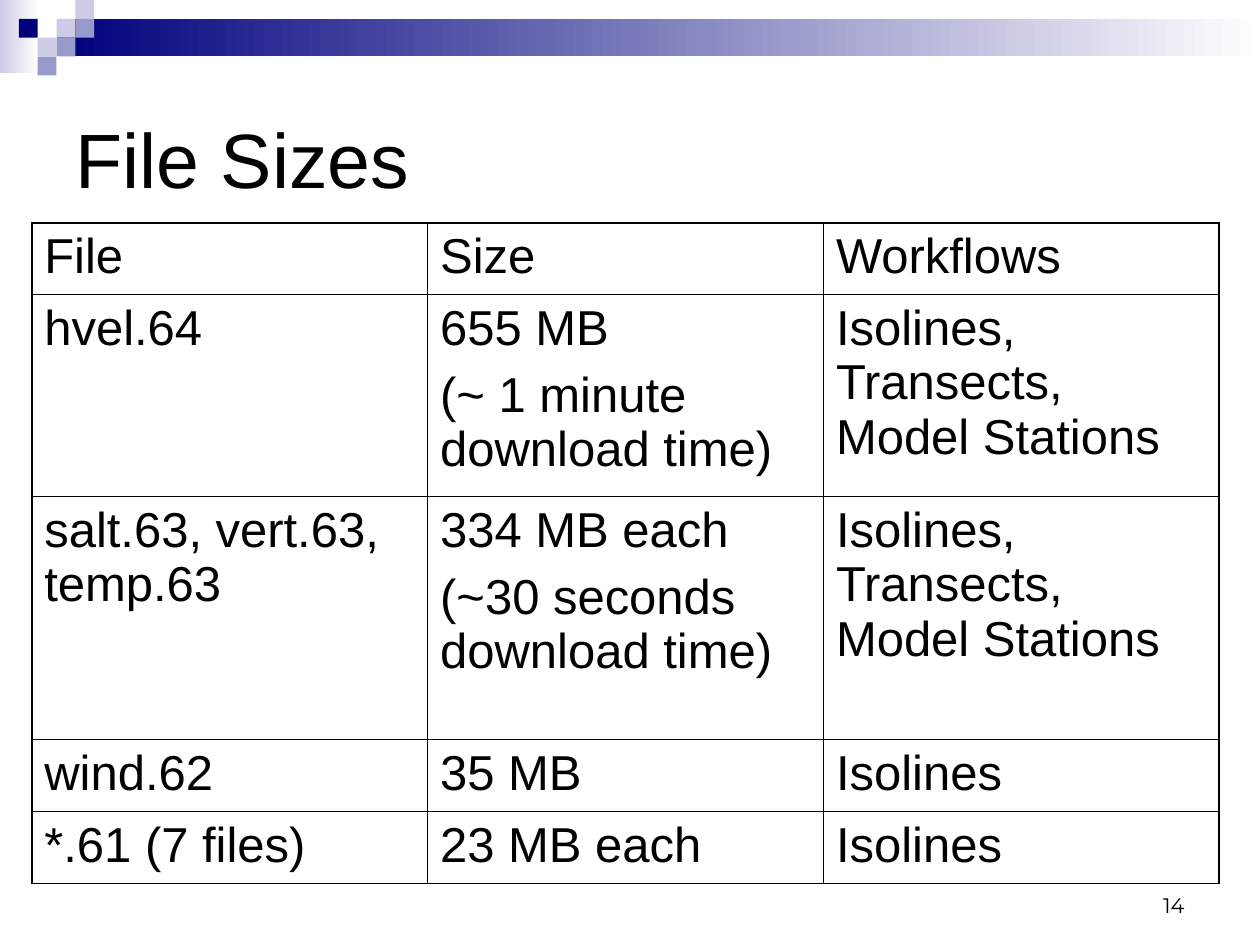
from lxml.etree import SubElement
from pptx import Presentation
from pptx.dml.color import RGBColor
from pptx.enum.shapes import MSO_SHAPE
from pptx.enum.text import MSO_ANCHOR, PP_ALIGN
from pptx.oxml.ns import qn
from pptx.util import Cm, Pt

COLORS = {
    "text": "000000",
    "border": "000000",
    "white": "FFFFFF",
    "navy": "00007D",
    "mid": "9999CC",
    "pale": "CCCCE6",
}
UNIT = 0.38  # side of a header square, cm


def add_block(s, left, top, width, height, color, fade=False):
    """Add a borderless rectangle, solid or fading to white on the right."""
    sp = s.shapes.add_shape(MSO_SHAPE.RECTANGLE, Cm(left), Cm(top), Cm(width), Cm(height))
    sp.shadow.inherit = False
    sp.line.fill.background()
    if fade:
        sp.fill.gradient()
        sp.fill.gradient_angle = 180
        for stop, name in zip(sp.fill.gradient_stops, ("white", color)):
            stop.color.rgb = RGBColor.from_string(COLORS[name])
    else:
        sp.fill.solid()
        sp.fill.fore_color.rgb = RGBColor.from_string(COLORS[color])


def set_border(cell, side, width):
    ln = SubElement(cell._tc.get_or_add_tcPr(), qn(f"a:ln{side}"), w=str(Pt(width)))
    fill = SubElement(ln, qn("a:solidFill"))
    SubElement(fill, qn("a:srgbClr"), val=COLORS["border"])


prs = Presentation()
prs.slide_width, prs.slide_height = Cm(25.4), Cm(19.05)
s = prs.slides.add_slide(prs.slide_layouts[5])

# Header band and squares
add_block(s, 0, 0, 0.79, 1.47, "pale", fade=True)
add_block(s, 3 * UNIT, UNIT, 25.4 - 3 * UNIT, 2 * UNIT, "navy", fade=True)
squares = [
    (3, 1, "pale"), (4, 0, "pale"), (4, 1, "mid"), (2, 2, "pale"),
    (1, 1, "navy"), (3, 2, "mid"), (2, 3, "mid"),
]
for col, row, color in squares:
    add_block(s, col * UNIT, row * UNIT, UNIT, UNIT, color)

# Title
title = s.shapes.title
title.left, title.top, title.width, title.height = Cm(1.27), Cm(1.27), Cm(22.86), Cm(3.81)
tf = title.text_frame
tf.text = "File Sizes"
tf.vertical_anchor = MSO_ANCHOR.MIDDLE
p = tf.paragraphs[0]
p.alignment = PP_ALIGN.LEFT
p.font.name, p.font.size = "Arial", Pt(44)
p.font.color.rgb = RGBColor.from_string(COLORS["text"])

# Table of file sizes
rows = [
    ("File", "Size", "Workflows"),
    ("hvel.64", "655 MB\n(~ 1 minute download time)", "Isolines, Transects, Model Stations"),
    ("salt.63, vert.63, temp.63", "334 MB each\n(~30 seconds download time)",
     "Isolines,\vTransects, Model Stations"),
    ("wind.62", "35 MB", "Isolines"),
    ("*.61 (7 files)", "23 MB each", "Isolines"),
]
heights = [1.45, 4.07, 4.9, 1.45, 1.45]
table = s.shapes.add_table(
    len(rows), 3, Cm(0.64), Cm(4.49), Cm(23.94), Cm(sum(heights))
).table
table.first_row = table.horz_banding = False
for column in table.columns:
    column.width = Cm(7.98)

for i, (texts, height) in enumerate(zip(rows, heights)):
    table.rows[i].height = Cm(height)
    for j, text in enumerate(texts):
        cell = table.cell(i, j)
        outer = {"L": j == 0, "R": j == 2, "T": i == 0, "B": i == len(rows) - 1}
        for side, is_outer in outer.items():
            set_border(cell, side, 1.08 if is_outer else 0.45)
        cell.fill.background()
        cell.text = text
        for k, p in enumerate(cell.text_frame.paragraphs):
            p.space_before = Pt(7 if k else 0)
            p.font.name, p.font.size = "Arial", Pt(28)
            p.font.color.rgb = RGBColor.from_string(COLORS["text"])

# Slide number
number = s.shapes.add_textbox(Cm(18.21), Cm(17.35), Cm(5.92), Cm(1.27))
tf = number.text_frame
tf.word_wrap = True
tf.vertical_anchor = MSO_ANCHOR.BOTTOM
tf.text = "14"
p = tf.paragraphs[0]
p.alignment = PP_ALIGN.RIGHT
p.font.name, p.font.size = "Montserrat", Pt(12)
p.font.color.rgb = RGBColor.from_string(COLORS["text"])

prs.save("out.pptx")
